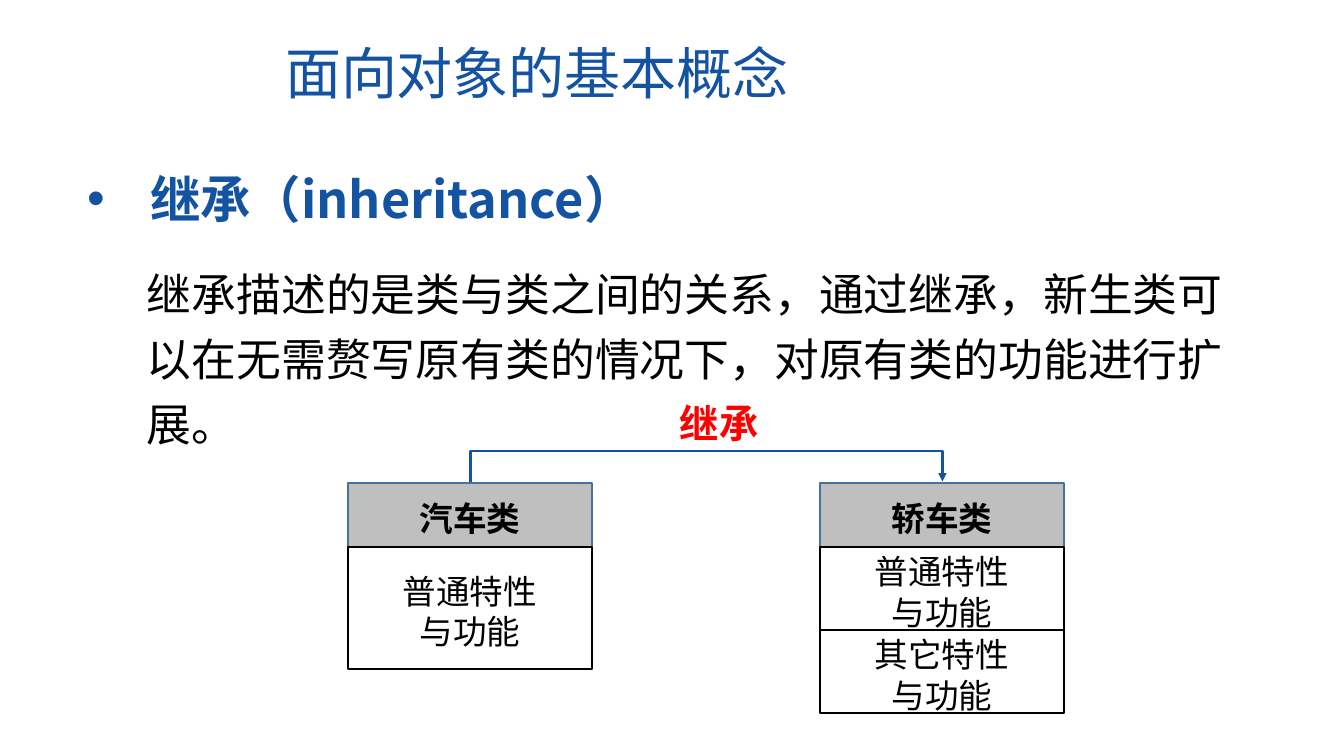
from lxml import etree
from pptx import Presentation, util as u
from pptx.dml.color import RGBColor
from pptx.enum import shapes, text
from pptx.oxml.ns import qn

NOTO = "Noto Sans CJK SC"
BLUE, BLACK = "1353A2", "000000"


def px(n):
    return u.Emu(round(n * 914400 / 100.8))


def write(shape, words, size, pitch, color=BLACK, bold=False, font=NOTO,
          align=text.PP_ALIGN.LEFT, anchor=text.MSO_ANCHOR.TOP, wrap=True, bullet=0):
    frame = shape.text_frame
    frame.word_wrap = wrap
    frame.auto_size = text.MSO_AUTO_SIZE.NONE
    frame.vertical_anchor = anchor
    for i, line in enumerate(words.split("\n")):
        para = frame.add_paragraph() if i else frame.paragraphs[0]
        para.alignment = align
        para.line_spacing = u.Pt(pitch)
        para.space_before = u.Pt(0)
        if bullet:
            props = para._p.get_or_add_pPr()
            props.set("marL", str(px(bullet)))
            props.set("indent", str(-px(bullet)))
            etree.SubElement(props, qn("a:buChar")).set("char", "•")
        run = para.add_run()
        run.text = line
        run.font.size = u.Pt(size)
        run.font.bold = bold
        run.font.color.rgb = RGBColor.from_string(color)
        run.font.name = font
        etree.SubElement(run._r.get_or_add_rPr(), qn("a:ea")).set("typeface", NOTO)


deck = Presentation()
deck.slide_width, deck.slide_height = px(1344), px(756)
slide = deck.slides.add_slide(deck.slide_layouts[1])
items = slide.shapes

title = items.title
title.left, title.top, title.width, title.height = px(275), px(29), px(593), px(78)
write(title, "面向对象的基本概念", 40, 51, color=BLUE)

topic = slide.placeholders[1]
topic.left, topic.top, topic.width, topic.height = px(77), px(159), px(806), px(72)
write(topic, "继承（inheritance）", 36, 46, color=BLUE, bold=True, bullet=63)

about = items.add_textbox(px(137), px(251), px(1109), px(200))
write(about, "继承描述的是类与类之间的关系，通过继承，新生类可以在无需赘写原有类的情况下，对原有类的功能进行扩展。",
      32, 46.4, font="Calibri")

WIDE, TOP, HEAD = 244, 483, 64
classes = [
    (348, "汽车类", 122, ["普通特性\n与功能"]),
    (820, "轿车类", 83, ["普通特性\n与功能", "其它特性\n与功能"]),
]
for left, name, tall, parts in classes:
    rows = [(name, TOP, HEAD, True)]
    rows += [(part, TOP + HEAD + i * tall, tall, False) for i, part in enumerate(parts)]
    for words, top, high, head in rows:
        box = items.add_shape(shapes.MSO_SHAPE.RECTANGLE, px(left), px(top), px(WIDE), px(high))
        box.shadow.inherit = False
        if head:
            box.fill.solid()
            box.fill.fore_color.rgb = RGBColor.from_string("BFBFBF")
        else:
            box.fill.background()
        box.line.color.rgb = RGBColor.from_string("43739E" if head else BLACK)
        box.line.width = u.Pt(1)
        box.text_frame.margin_top, box.text_frame.margin_bottom = px(6), px(0)
        write(box, words, 24, 28.8, bold=head, align=text.PP_ALIGN.CENTER,
              anchor=text.MSO_ANCHOR.MIDDLE)

span, rise = classes[1][0] - classes[0][0], 32
mid = classes[0][0] + (WIDE + span) // 2
arrow = items.add_connector(shapes.MSO_CONNECTOR.ELBOW, px(mid), px(TOP - 1 - span // 2),
                            px(mid + 1), px(TOP - 1 + span // 2))
arrow.line.color.rgb = RGBColor.from_string(BLUE)
arrow.line.width = u.Pt(1.5)
shape = arrow._element.spPr
for key, value in (("rot", "5400000"), ("flipH", "1"), ("flipV", "1")):
    shape.find(qn("a:xfrm")).set(key, value)
bend = etree.SubElement(shape.find(qn("a:prstGeom")).find(qn("a:avLst")), qn("a:gd"))
bend.set("name", "adj1")
bend.set("fmla", f"val {rise * 100000}")
etree.SubElement(shape.find(qn("a:ln")), qn("a:tailEnd")).set("type", "triangle")
etree.SubElement(shape, qn("a:effectLst"))

label = items.add_textbox(px(670), px(390), px(100), px(57))
write(label, "继承", 28, 36.5, color="FF0000", bold=True, wrap=False)

deck.save("out.pptx")
